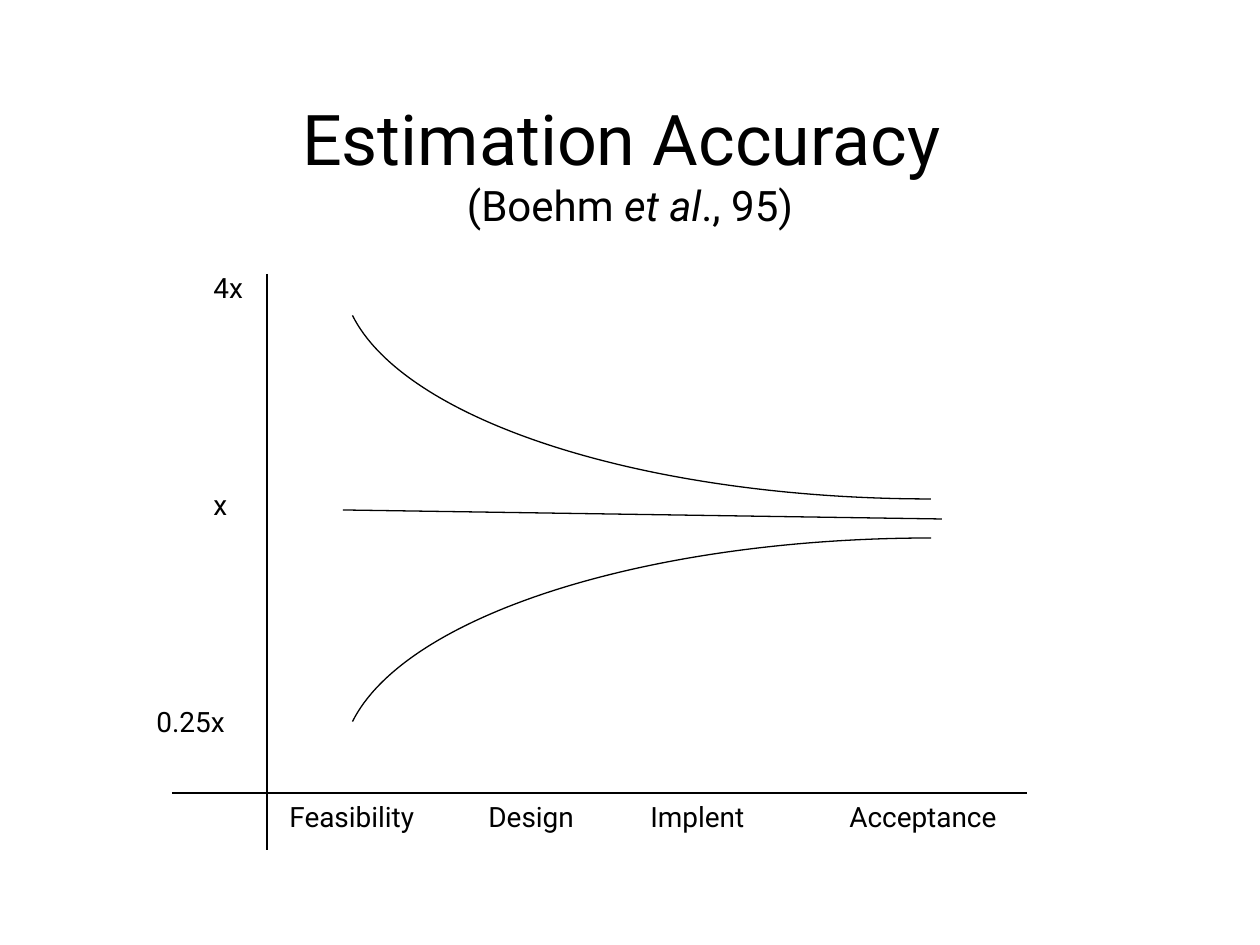
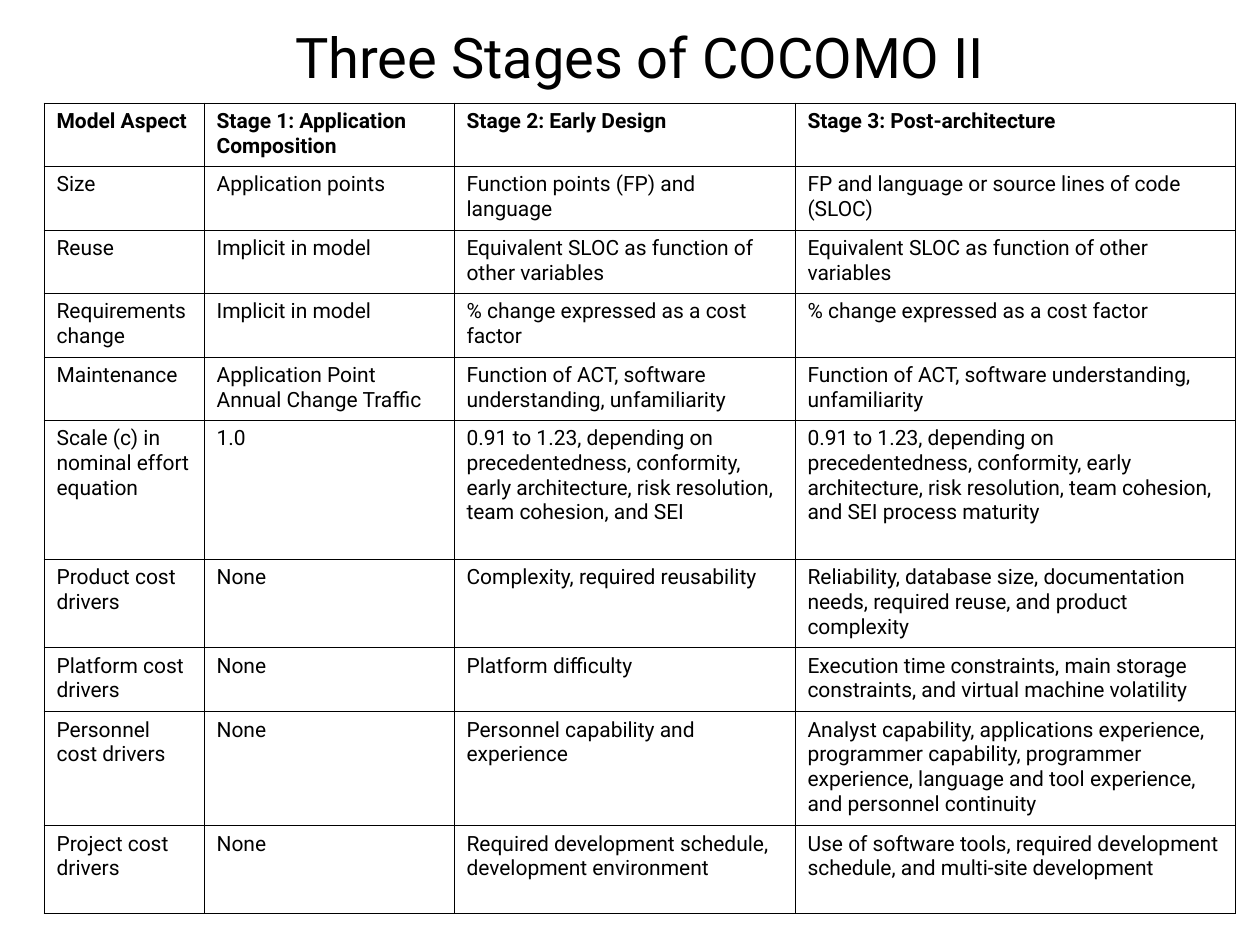
"""Build two slides on software cost estimation."""
from collections import namedtuple
from dataclasses import dataclass

from lxml import etree
from pptx import Presentation
from pptx import util as u
from pptx.dml.color import RGBColor
from pptx.enum import shapes, text
from pptx.oxml import ns

Box = namedtuple("Box", "left top width height")


@dataclass(frozen=True)
class Theme:
    """Hold the colours, font and sizes that the slides share."""
    ink: RGBColor = RGBColor(0, 0, 0)
    font: str = "Roboto"
    title: int = 40
    table_title: int = 32
    citation: int = 24
    label: int = 16
    cell: int = 12
    line: float = 0.75
    border: float = 0.45


THEME = Theme()
EMU_PER_PX = 914400 / 126
ARC_UNITS_PER_DEGREE = 0.6

LEVELS = [("4x", 57, -1, 77), ("x", 57, 216, 57), ("0.25x", 0, 433, 134)]
PHASES = [("Feasibility", 133, 528, 170), ("Design", 332, 528, 170),
          ("Implent", 494, 528, 170), ("Acceptance", 693, 528, 199)]
AXES_AND_MIDLINE = [(123, 9, 123, 585), (28, 528, 883, 528), (199, 245, 798, 254)]
BOUNDS = [(273, 180, 4.2, 90), (-218, 0, 90, 175.8)]

COLUMN_WIDTHS = [160, 250, 341, 440]
ROW_HEIGHTS = [63, 64, 63, 64, 63, 139, 88, 64, 114, 88]
STAGES = [
    ["Model Aspect", "Stage 1: Application Composition", "Stage 2: Early Design",
     "Stage 3: Post-architecture"],
    ["Size", "Application points", "Function points (FP) and language",
     "FP and language or source lines of code (SLOC)"],
    ["Reuse", "Implicit in model", "Equivalent SLOC as function of other variables",
     "Equivalent SLOC as function of other variables"],
    ["Requirements change", "Implicit in model", "% change expressed as a cost factor",
     "% change expressed as a cost factor"],
    ["Maintenance", "Application Point Annual Change Traffic",
     "Function of ACT, software understanding, unfamiliarity",
     "Function of ACT, software understanding, unfamiliarity"],
    ["Scale (c) in nominal effort equation", "1.0",
     "0.91 to 1.23, depending on precedentedness, conformity, early architecture, "
     "risk resolution, team cohesion, and SEI",
     "0.91 to 1.23, depending on precedentedness, conformity, early architecture, "
     "risk resolution, team cohesion, and SEI process maturity"],
    ["Product cost drivers", "None", "Complexity, required reusability",
     "Reliability, database size, documentation needs, required reuse, "
     "and product complexity"],
    ["Platform cost drivers", "None", "Platform difficulty",
     "Execution time constraints, main storage constraints, "
     "and virtual machine volatility"],
    ["Personnel cost drivers", "None", "Personnel capability and experience",
     "Analyst capability, applications experience, programmer capability, programmer "
     "experience, language and tool experience, and personnel continuity"],
    ["Project cost drivers", "None",
     "Required development schedule, development environment",
     "Use of software tools, required development schedule, "
     "and multi-site development"],
]


def px(length):
    """Turn pixels into EMU."""
    return u.Emu(round(length * EMU_PER_PX))


def write(paragraph, words, size, bold=False, italic=False):
    """Add one formatted run to a paragraph."""
    run = paragraph.add_run()
    run.text = words
    font = run.font
    font.name, font.size = THEME.font, u.Pt(size)
    font.bold, font.italic = bold, italic
    font.color.rgb = THEME.ink


def add_text_frame(slide, box):
    """Add a wrapping text box and return its frame."""
    frame = slide.shapes.add_textbox(*map(px, box)).text_frame
    frame.word_wrap = True
    return frame


def add_title(slide, box, words, size):
    """Add a centred title and return its paragraph."""
    frame = add_text_frame(slide, box)
    frame.vertical_anchor = text.MSO_ANCHOR.MIDDLE
    heading = frame.paragraphs[0]
    heading.alignment = text.PP_ALIGN.CENTER
    write(heading, words, size)
    return heading


def ink_line(line):
    """Give a line the shared colour and width."""
    line.color.rgb = THEME.ink
    line.width = u.Pt(THEME.line)


def add_line(slide, x1, y1, x2, y2):
    """Draw a straight line without a shadow."""
    rule = slide.shapes.add_connector(
        shapes.MSO_CONNECTOR.STRAIGHT, *map(px, (x1, y1, x2, y2)))
    ink_line(rule.line)
    etree.SubElement(rule._element.spPr, ns.qn("a:effectLst"))


def add_bound(slide, box, rotation, start, end):
    """Draw an arc that closes in on the middle line."""
    bound = slide.shapes.add_shape(shapes.MSO_SHAPE.ARC, *map(px, box))
    bound.rotation = rotation
    for index, angle in enumerate((start, end)):
        bound.adjustments[index] = angle * ARC_UNITS_PER_DEGREE
    bound.shadow.inherit = False
    bound.fill.background()
    ink_line(bound.line)


def add_accuracy_cone(slide, box):
    """Draw the narrowing bounds, the axes and their labels."""
    for y, rotation, start, end in BOUNDS:
        add_bound(slide, Box(box.left + 198, box.top + y, 1178, 452),
                  rotation, start, end)
    for x1, y1, x2, y2 in AXES_AND_MIDLINE:
        add_line(slide, box.left + x1, box.top + y1, box.left + x2, box.top + y2)
    for words, x, y, width in LEVELS + PHASES:
        frame = add_text_frame(slide, Box(box.left + x, box.top + y, width, 47))
        write(frame.paragraphs[0], words, THEME.label)


def border_cell(cell):
    """Put a thin line on all four sides of a cell."""
    properties = cell._tc.get_or_add_tcPr()
    for position, side in enumerate(("lnL", "lnR", "lnT", "lnB")):
        edge = etree.Element(ns.qn(f"a:{side}"), w=str(u.Pt(THEME.border)))
        fill = etree.SubElement(edge, ns.qn("a:solidFill"))
        etree.SubElement(fill, ns.qn("a:srgbClr"), val=str(THEME.ink))
        properties.insert(position, edge)


def add_stage_table(slide, box):
    """Add the table that compares the stages."""
    table = slide.shapes.add_table(
        len(STAGES), len(COLUMN_WIDTHS), *map(px, box)).table
    table.first_row = table.horz_banding = False
    for column, width in zip(table.columns, COLUMN_WIDTHS):
        column.width = px(width)
    for row, height, entries in zip(table.rows, ROW_HEIGHTS, STAGES):
        row.height = px(height)
        for cell, entry in zip(row.cells, entries):
            cell.fill.background()
            border_cell(cell)
            write(cell.text_frame.paragraphs[0], entry, THEME.cell,
                  bold=entries is STAGES[0])


def build_accuracy_slide(slide):
    """Fill the slide on estimation accuracy."""
    heading = add_title(slide, Box(94, 84, 1072, 158), "Estimation Accuracy ", THEME.title)
    heading.add_line_break()
    for words, italic in (("(Boehm ", False), ("et al", True), ("., 95)", False)):
        write(heading, words, THEME.citation, italic=italic)
    add_accuracy_cone(slide, Box(144, 265, 892, 585))


def build_stages_slide(slide):
    """Fill the slide on the model stages."""
    add_title(slide, Box(84, 16, 1112, 80), "Three Stages of COCOMO II", THEME.table_title)
    add_stage_table(slide, Box(44, 103, sum(COLUMN_WIDTHS), sum(ROW_HEIGHTS)))


def main():
    """Build and save the presentation."""
    deck = Presentation()
    deck.slide_width, deck.slide_height = px(1260), px(945)
    for build in (build_accuracy_slide, build_stages_slide):
        build(deck.slides.add_slide(deck.slide_layouts[6]))
    deck.save("out.pptx")


if __name__ == "__main__":
    main()
